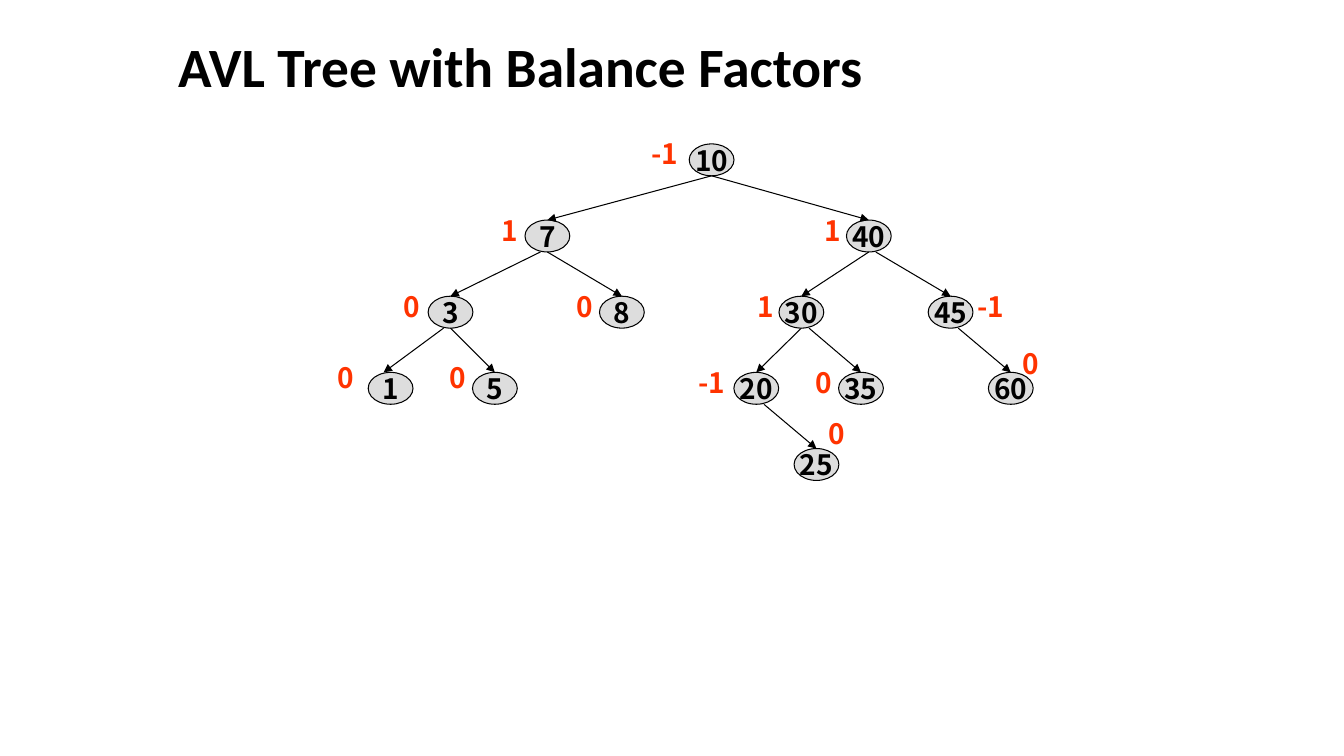
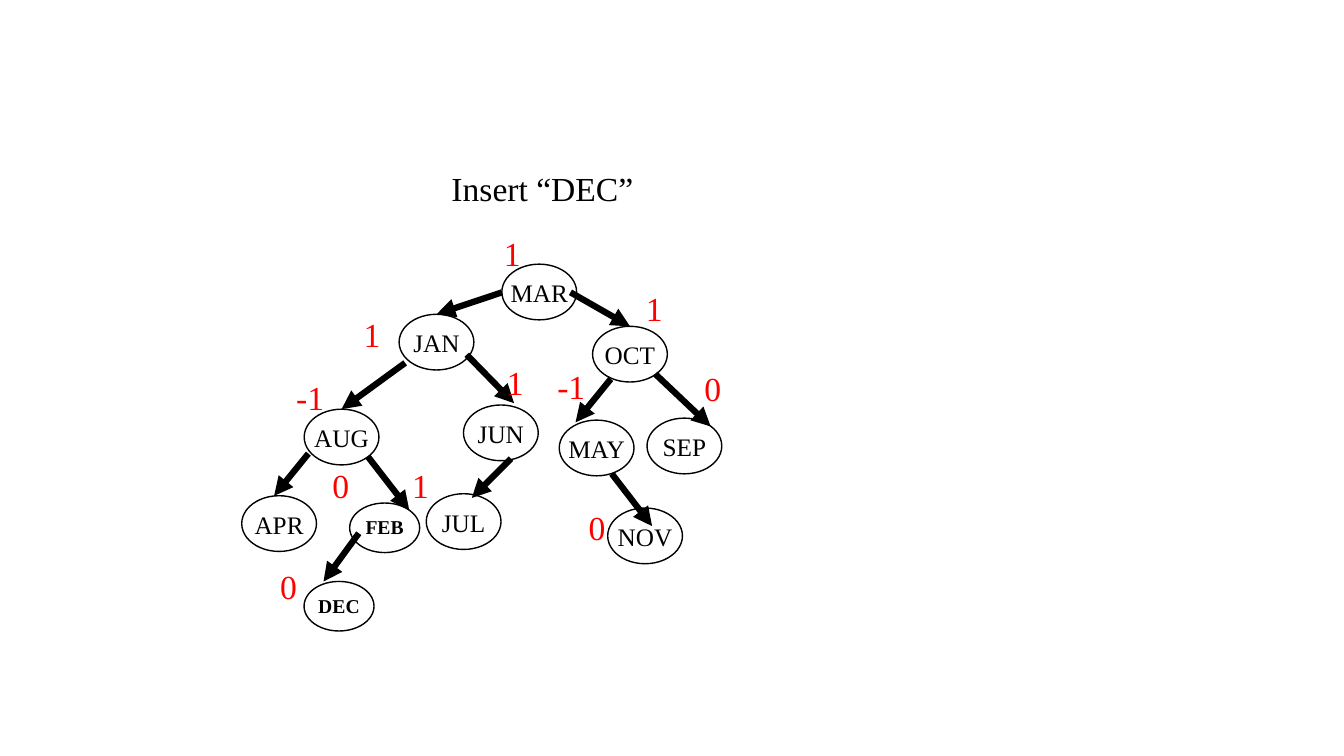
from lxml import etree
from pptx import Presentation
from pptx.dml.color import RGBColor
from pptx.enum.shapes import MSO_CONNECTOR, MSO_SHAPE
from pptx.enum.text import MSO_ANCHOR, MSO_AUTO_SIZE, PP_ALIGN
from pptx.oxml.ns import qn
from pptx.util import Pt

OVAL = MSO_SHAPE.OVAL
STRAIGHT = MSO_CONNECTOR.STRAIGHT
LEFT, CENTER = PP_ALIGN.LEFT, PP_ALIGN.CENTER
TOP, MIDDLE = MSO_ANCHOR.TOP, MSO_ANCHOR.MIDDLE
NO_FIT = MSO_AUTO_SIZE.NONE

color = RGBColor.from_string
BLACK = "000000"
SANS, SERIF = "Noto Sans CJK KR", "Times New Roman"


def write(sp, text, font, size, fill=BLACK, bold=False, align=LEFT, anchor=TOP, wrap=True, spacing=None):
    tf = sp.text_frame
    tf.auto_size = NO_FIT
    tf.word_wrap = wrap
    tf.vertical_anchor = anchor
    p = tf.paragraphs[0]
    p.alignment = align
    p.line_spacing = spacing
    r = p.add_run()
    r.text = text
    r.font.name = font
    r.font.size = Pt(size)
    r.font.bold = bold
    r.font.color.rgb = color(fill)


def arrow(slide, start, end, child, width):
    x, y = end or start
    line = slide.shapes.add_connector(STRAIGHT, Pt(start[0]), Pt(start[1]), Pt(x), Pt(y))
    if end is None:
        line.end_connect(child, 0)
    line.line.color.rgb = color(BLACK)
    line.line.width = Pt(width)
    etree.SubElement(line.line._get_or_add_ln(), qn("a:tailEnd"), type="triangle")
    etree.SubElement(line._element.spPr, qn("a:effectLst"))


prs = Presentation()
prs.slide_width, prs.slide_height = Pt(960), Pt(540)

numbers = prs.slides.add_slide(prs.slide_layouts[5])
title = numbers.shapes.title
title.left, title.top, title.width, title.height = Pt(120), Pt(26), Pt(630), Pt(48)
write(title, "AVL Tree with Balance Factors", "Calibri", 39.6, bold=True, anchor=MIDDLE, spacing=0.9)

months = prs.slides.add_slide(prs.slide_layouts[6])
caption = months.shapes.add_textbox(Pt(315.4), Pt(116.6), Pt(145), Pt(36.7))
write(caption, "Insert “DEC”", SERIF, 24, wrap=False)

ROOT_Y, LEVEL_GAP = 114.2, 54.4
NODE_W, NODE_H = 32, 22.8
number_levels = [
    [("10", 508.3)],
    [("7", 391), ("40", 620.6)],
    [("3", 321.8), ("8", 444.2), ("30", 572.4), ("45", 679)],
    [("1", 279), ("5", 353.5), ("20", 540.2), ("35", 615), ("60", 722)],
    [("25", 583.2)],
]
number_nodes = {
    label: (x, ROOT_Y + level * LEVEL_GAP, NODE_W, NODE_H)
    for level, row in enumerate(number_levels)
    for label, x in row
}
number_links = [
    ("10", "7", 0), ("10", "40", 0), ("7", "3", -5), ("7", "8", 0),
    ("40", "30", 0), ("40", "45", 5), ("3", "1", -5), ("3", "5", 0),
    ("30", "20", 0), ("30", "35", 5.5), ("45", "60", 5.5), ("20", "25", 5.5),
]
number_arrows = []
for parent, child, shift in number_links:
    x, y = number_nodes[parent][:2]
    end = (274, 266) if child == "1" else None
    number_arrows.append((child, (x + shift, y + NODE_H / 2), end))
number_factors = [
    ("-1", 458, 94.3), ("1", 351.4, 149), ("0", 280.8, 203), ("0", 234, 254.2),
    ("0", 313.9, 254.2), ("0", 404.6, 203), ("1", 581.8, 149), ("1", 534.2, 203),
    ("-1", 491.8, 257.8), ("0", 575.3, 257.8), ("-1", 691.2, 203),
    ("0", 723.6, 244), ("0", 584.6, 293.8),
]

month_centers = {
    "MAR": (385.2, 208.6), "JAN": (311.8, 244.4), "OCT": (450, 253),
    "AUG": (244, 312.2), "JUN": (357.8, 309.2), "MAY": (426.2, 320),
    "SEP": (488.9, 318.6), "APR": (199.4, 374), "FEB": (274.8, 377),
    "JUL": (331.2, 372.6), "NOV": (460.8, 382.8), "DEC": (242.2, 433),
}
NEW_MONTHS = ("FEB", "DEC")
month_nodes = {
    label: center + ((50, 35.4) if label in NEW_MONTHS else (53.4, 39.8))
    for label, center in month_centers.items()
}
month_arrows = [
    ("JAN", (358.6, 208.8), None), ("OCT", (407.5, 208.8), None),
    ("AUG", (289.4, 259.2), None), ("JUN", (333.4, 253.4), (367.2, 288)),
    ("MAY", (436.3, 270.7), (411.1, 301.7)), ("SEP", (468, 267.1), (507.6, 304.6)),
    ("APR", (220.3, 324), (195.8, 354.2)), ("FEB", (262.8, 326.2), (292.3, 364.3)),
    ("JUL", (365, 327.6), (337, 355.7)), ("NOV", (437, 338.4), (465.8, 375.8)),
    ("DEC", (256.3, 380.9), (231.1, 415.4)),
]
month_factors = [
    ("1", 352.8, 162.7), ("1", 252.7, 221), ("1", 454.3, 202.3), ("-1", 204.5, 265.7),
    ("1", 355, 254.9), ("-1", 391, 257.8), ("0", 496, 259.2), ("0", 230.4, 328.3),
    ("1", 287.3, 328.3), ("0", 413.3, 358.6), ("0", 193, 401),
]

number_style = dict(font=SANS, size=20, bold=True, anchor=MIDDLE)
month_style = dict(font=SERIF, size=18)
new_month_style = dict(font=SERIF, size=14, bold=True)
number_factor = dict(font=SANS, size=20, bold=True, fill="FF3300")
month_factor = dict(font=SERIF, size=24, fill="FF0000")

trees = [
    (numbers, number_nodes, number_arrows, number_factors, number_style, number_factor, "DDDDDD", 0.75, 0.75),
    (months, month_nodes, month_arrows, month_factors, month_style, month_factor, "FFFFFF", 1, 4.5),
]
for slide, nodes, arrows, factors, node_style, factor_style, fill, outline, weight in trees:
    ovals = {}
    for label, (x, y, w, h) in nodes.items():
        sp = slide.shapes.add_shape(OVAL, Pt(x - w / 2), Pt(y - h / 2), Pt(w), Pt(h))
        sp.shadow.inherit = False
        sp.fill.solid()
        sp.fill.fore_color.rgb = color(fill)
        sp.line.color.rgb = color(BLACK)
        sp.line.width = Pt(outline)
        style = new_month_style if label in NEW_MONTHS else node_style
        write(sp, label, align=CENTER, wrap=False, **style)
        ovals[label] = sp
    for child, start, end in arrows:
        arrow(slide, start, end, ovals[child], weight)
    for factor, x, y in factors:
        sp = slide.shapes.add_textbox(Pt(x), Pt(y), Pt(40), Pt(36))
        write(sp, factor, **factor_style)

prs.save("out.pptx")
